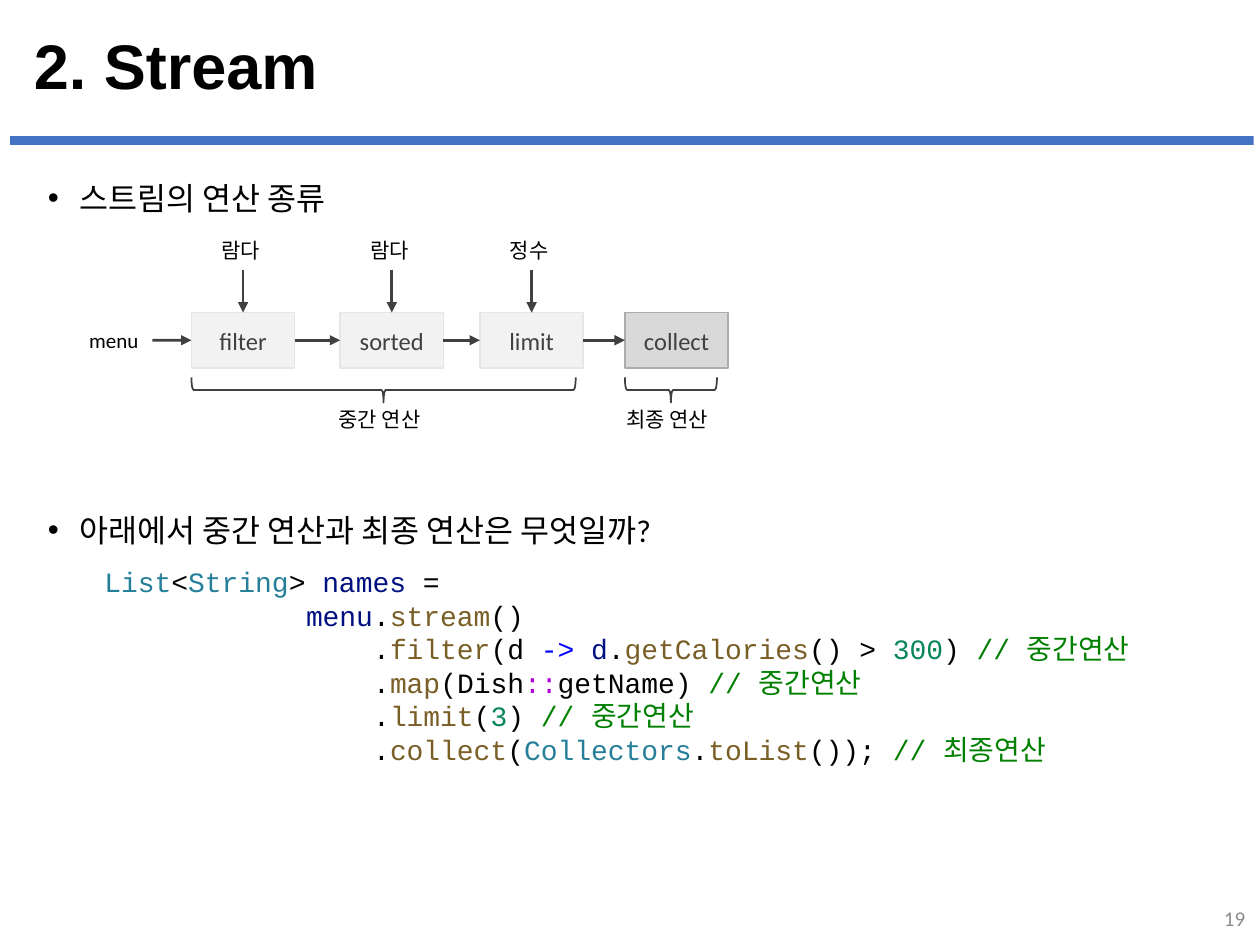
from dataclasses import dataclass

from lxml.etree import SubElement
from pptx import Presentation
from pptx.dml.color import RGBColor
from pptx.enum.shapes import MSO_CONNECTOR, MSO_SHAPE
from pptx.enum.text import MSO_ANCHOR, MSO_AUTO_SIZE, PP_ALIGN
from pptx.oxml.ns import qn
from pptx.shapes.autoshape import Shape
from pptx.slide import Slide
from pptx.text.text import Font
from pptx.util import Pt

BLACK = RGBColor(0x00, 0x00, 0x00)
BLUE = RGBColor(0x44, 0x72, 0xC4)
GRAY = RGBColor(0x8C, 0x8C, 0x8C)
DARK = RGBColor(0x40, 0x40, 0x40)
LIGHT_FILL = RGBColor(0xF2, 0xF2, 0xF2)
LIGHT_LINE = RGBColor(0xE7, 0xE6, 0xE6)
FINAL_FILL = RGBColor(0xD9, 0xD9, 0xD9)
FINAL_LINE = RGBColor(0xAF, 0xAB, 0xAB)
TYPE = RGBColor(0x26, 0x7F, 0x99)
VARIABLE = RGBColor(0x00, 0x10, 0x80)
METHOD = RGBColor(0x79, 0x5E, 0x26)
ARROW = RGBColor(0x00, 0x00, 0xFF)
NUMBER = RGBColor(0x09, 0x86, 0x58)
REFERENCE = RGBColor(0xAF, 0x00, 0xDB)
COMMENT = RGBColor(0x00, 0x80, 0x00)

TOP, BOTTOM, LEFT, RIGHT = 0, 2, 1, 3
BOX_TOP, BOX_WIDTH, BOX_HEIGHT = 178.6, 59, 31.7
LABEL_TOP, LABEL_WIDTH, LABEL_HEIGHT = 132.5, 38.9, 21.6
BRACE_TOP, BRACE_DEPTH = 215.6, 14.4
CAPTION_TOP, CAPTION_WIDTH = 229, 65.5
CODE_SIZE = 16
CHARACTER_WIDTH = CODE_SIZE * 0.6


@dataclass
class Stage:
    name: str
    left: float
    argument: str = ""
    fill: RGBColor = LIGHT_FILL
    line: RGBColor = LIGHT_LINE


@dataclass
class Group:
    caption: str
    left: float
    span: float


@dataclass
class CodeLine:
    indent: int
    tokens: list[tuple[str, RGBColor]]


STAGES = [
    Stage("filter", 109.4, "람다"),
    Stage("sorted", 194.4, "람다"),
    Stage("limit", 274.3, "정수"),
    Stage("collect", 357.1, fill=FINAL_FILL, line=FINAL_LINE),
]
GROUPS = [Group("중간 연산", 109.4, 219.6), Group("최종 연산", 357.1, 52.6)]
CODE = [
    CodeLine(0, [("List", TYPE), ("<", BLACK), ("String", TYPE), ("> ", BLACK),
                 ("names", VARIABLE), (" =", BLACK)]),
    CodeLine(12, [("menu", VARIABLE), (".", BLACK), ("stream", METHOD), ("()", BLACK)]),
    CodeLine(16, [(".", BLACK), ("filter", METHOD), ("(d ", BLACK), ("-> ", ARROW),
                  ("d", VARIABLE), (".", BLACK), ("getCalories", METHOD),
                  ("() > ", BLACK), ("300", NUMBER), (") ", BLACK),
                  ("// 중간연산", COMMENT)]),
    CodeLine(16, [(".", BLACK), ("map", METHOD), ("(Dish", BLACK), ("::", REFERENCE),
                  ("getName)", BLACK), (" // 중간연산", COMMENT)]),
    CodeLine(16, [(".", BLACK), ("limit", METHOD), ("(", BLACK), ("3", NUMBER),
                  (")", BLACK), (" // 중간연산", COMMENT)]),
    CodeLine(16, [(".", BLACK), ("collect", METHOD), ("(", BLACK), ("Collectors", TYPE),
                  (".", BLACK), ("toList", METHOD), ("()); ", BLACK),
                  ("// 최종연산", COMMENT)]),
]


def style_font(font: Font, size: float, color: RGBColor, name: str = "Calibri") -> None:
    font.size = Pt(size)
    font.name = name
    font.color.rgb = color


def place(shape: Shape, left: float, top: float, width: float, height: float) -> None:
    shape.left, shape.top = Pt(left), Pt(top)
    shape.width, shape.height = Pt(width), Pt(height)


def add_label(slide: Slide, text: str, left: float, top: float, width: float,
              height: float = LABEL_HEIGHT, color: RGBColor = BLACK) -> Shape:
    label = slide.shapes.add_textbox(Pt(left), Pt(top), Pt(width), Pt(height))
    label.text_frame.text = text
    label.text_frame.word_wrap = False
    style_font(label.text_frame.paragraphs[0].runs[0].font, 12, color)
    return label


def add_rectangle(slide: Slide, left: float, top: float, width: float, height: float,
                  fill: RGBColor) -> Shape:
    rectangle = slide.shapes.add_shape(
        MSO_SHAPE.RECTANGLE, Pt(left), Pt(top), Pt(width), Pt(height))
    rectangle.shadow.inherit = False
    rectangle.fill.solid()
    rectangle.fill.fore_color.rgb = fill
    rectangle.line.fill.background()
    return rectangle


def add_stage(slide: Slide, stage: Stage) -> Shape:
    box = add_rectangle(slide, stage.left, BOX_TOP, BOX_WIDTH, BOX_HEIGHT, stage.fill)
    box.line.color.rgb = stage.line
    box.line.width = Pt(1)
    box.text_frame.text = stage.name
    box.text_frame.vertical_anchor = MSO_ANCHOR.MIDDLE
    paragraph = box.text_frame.paragraphs[0]
    paragraph.alignment = PP_ALIGN.CENTER
    style_font(paragraph.runs[0].font, 14, DARK)
    return box


def add_arrow(slide: Slide, start: Shape, start_side: int, end: Shape, end_side: int) -> None:
    arrow = slide.shapes.add_connector(MSO_CONNECTOR.STRAIGHT, 0, 0, 0, 0)
    arrow.begin_connect(start, start_side)
    arrow.end_connect(end, end_side)
    arrow.line.color.rgb = DARK
    arrow.line.width = Pt(1.5)
    SubElement(arrow.line._get_or_add_ln(), qn("a:tailEnd"), type="triangle")
    SubElement(arrow._element.spPr, qn("a:effectLst"))


def add_group(slide: Slide, group: Group) -> None:
    center = group.left + group.span / 2
    brace = slide.shapes.add_shape(
        MSO_SHAPE.LEFT_BRACE, Pt(center - BRACE_DEPTH / 2),
        Pt(BRACE_TOP + BRACE_DEPTH / 2 - group.span / 2), Pt(BRACE_DEPTH), Pt(group.span))
    brace.rotation = 270
    brace.shadow.inherit = False
    brace.fill.background()
    brace.line.color.rgb = DARK
    brace.line.width = Pt(1)
    add_label(slide, group.caption, center - CAPTION_WIDTH / 2, CAPTION_TOP, CAPTION_WIDTH)


def add_pipeline(slide: Slide) -> None:
    previous = add_label(slide, "menu", 43.9, 183.6, 43.2)
    for stage in STAGES:
        box = add_stage(slide, stage)
        add_arrow(slide, previous, RIGHT, box, LEFT)
        if stage.argument:
            label_left = stage.left + (BOX_WIDTH - LABEL_WIDTH) / 2
            label = add_label(slide, stage.argument, label_left, LABEL_TOP, LABEL_WIDTH)
            add_arrow(slide, label, BOTTOM, box, TOP)
        previous = box
    for group in GROUPS:
        add_group(slide, group)


def add_code(slide: Slide) -> None:
    text_frame = slide.shapes.add_textbox(Pt(52.6), Pt(319), Pt(667.4), Pt(123.8)).text_frame
    text_frame.word_wrap = True
    for index, line in enumerate(CODE):
        paragraph = text_frame.add_paragraph() if index else text_frame.paragraphs[0]
        paragraph.line_spacing = Pt(19.2)
        margin = Pt(line.indent * CHARACTER_WIDTH)
        paragraph._p.get_or_add_pPr().set("marL", str(int(margin)))
        for text, color in line.tokens:
            run = paragraph.add_run()
            run.text = text
            style_font(run.font, CODE_SIZE, color, "Courier New")


def fill_title(title: Shape) -> None:
    place(title, 12.2, 15.8, 695.5, 47.5)
    title.text_frame.text = "2. Stream"
    title.text_frame.auto_size = MSO_AUTO_SIZE.NONE
    title.text_frame.vertical_anchor = MSO_ANCHOR.MIDDLE
    paragraph = title.text_frame.paragraphs[0]
    paragraph.alignment = PP_ALIGN.LEFT
    paragraph.line_spacing = 0.9
    style_font(paragraph.runs[0].font, 36, BLACK, "Arial")
    paragraph.runs[0].font.bold = True


def fill_body(body: Shape) -> None:
    place(body, 20.2, 98.6, 676.8, 431.3)
    body.text_frame.text = "스트림의 연산 종류\n아래에서 중간 연산과 최종 연산은 무엇일까?"
    body.text_frame.auto_size = MSO_AUTO_SIZE.NONE
    for paragraph, space in zip(body.text_frame.paragraphs, (10, 168)):
        paragraph.space_before = Pt(space)
        properties = paragraph._p.get_or_add_pPr()
        properties.set("marL", str(Pt(18)))
        properties.set("indent", str(Pt(-18)))
        style_font(paragraph.runs[0].font, 18, BLACK)


def main() -> None:
    presentation = Presentation()
    presentation.slide_width, presentation.slide_height = Pt(720), Pt(540)
    slide = presentation.slides.add_slide(presentation.slide_layouts[1])
    add_rectangle(slide, 5.8, 77.8, 710.6, 5, BLUE)
    fill_title(slide.shapes.title)
    fill_body(slide.placeholders[1])
    add_pipeline(slide)
    add_code(slide)
    number = add_label(slide, "19", 556.6, 510.5, 162, 28.8, GRAY)
    number.text_frame.word_wrap = True
    number.text_frame.vertical_anchor = MSO_ANCHOR.MIDDLE
    number.text_frame.paragraphs[0].alignment = PP_ALIGN.RIGHT
    presentation.save("out.pptx")


if __name__ == "__main__":
    main()
